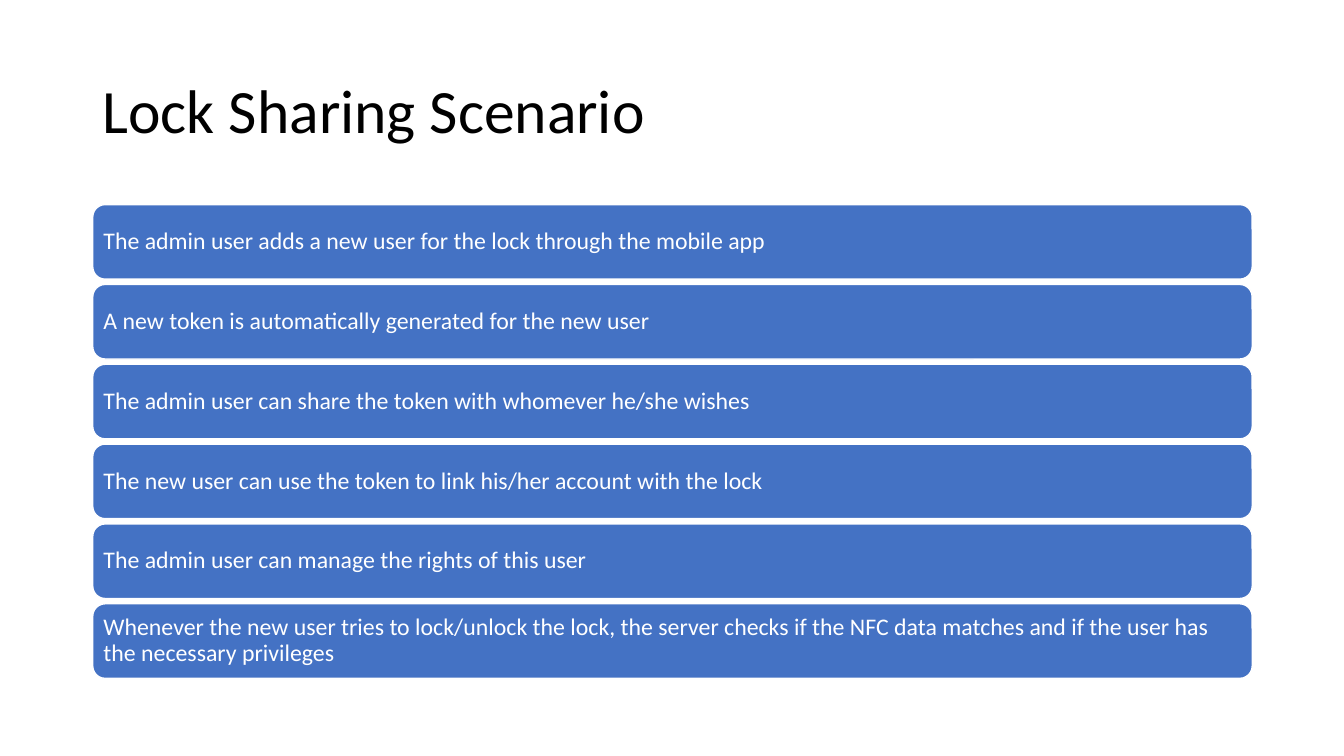
import pptx
import pptx.util
import pptx.dml.color
import pptx.enum.shapes
import pptx.enum.text
from dataclasses import dataclass

Inches = pptx.util.Inches
Pt = pptx.util.Pt
Color = pptx.dml.color.RGBColor


@dataclass(frozen=True)
class Theme:
    font: str = "Calibri"
    ink: Color = Color(0x00, 0x00, 0x00)
    paper: Color = Color(0xFF, 0xFF, 0xFF)
    blue: Color = Color(0x44, 0x72, 0xC4)
    title: int = 44
    body: int = 17


STEPS = [
    "The admin user adds a new user for the lock through the mobile app",
    "A new token is automatically generated for the new user",
    "The admin user can share the token with whomever he/she wishes",
    "The new user can use the token to link his/her account with the lock",
    "The admin user can manage the rights of this user",
    "Whenever the new user tries to lock/unlock the lock, the server checks "
    "if the NFC data matches and if the user has the necessary privileges",
]
LEFT, WIDTH = 0.92, 11.5
FIRST, LAST, HEIGHT = 2.03, 5.99, 0.74


class Board:
    """Draws elements on one slide in the given theme."""

    def __init__(self, slide, theme):
        self.slide = slide
        self.theme = theme

    def label(self, frame, text, size, color):
        frame.word_wrap = True
        frame.vertical_anchor = pptx.enum.text.MSO_ANCHOR.MIDDLE
        line = frame.paragraphs[0]
        line.text = text
        line.alignment = pptx.enum.text.PP_ALIGN.LEFT
        line.line_spacing = 0.9
        line.font.name = self.theme.font
        line.font.size = Pt(size)
        line.font.color.rgb = color

    def title(self, text):
        box = self.slide.shapes.add_textbox(
            Inches(LEFT), Inches(0.4), Inches(WIDTH), Inches(1.45))
        self.label(box.text_frame, text, self.theme.title, self.theme.ink)

    def bar(self, text, top):
        shape = self.slide.shapes.add_shape(
            pptx.enum.shapes.MSO_SHAPE.ROUNDED_RECTANGLE,
            Inches(LEFT), Inches(top), Inches(WIDTH), Inches(HEIGHT))
        shape.shadow.inherit = False
        shape.fill.solid()
        shape.fill.fore_color.rgb = self.theme.blue
        shape.line.color.rgb = self.theme.paper
        shape.line.width = Pt(1)
        frame = shape.text_frame
        frame.margin_left = frame.margin_right = Inches(0.07)
        frame.margin_top = frame.margin_bottom = Inches(0.07)
        self.label(frame, text, self.theme.body, self.theme.paper)


def main():
    deck = pptx.Presentation()
    deck.slide_width = Inches(13.33)
    deck.slide_height = Inches(7.5)
    board = Board(deck.slides.add_slide(deck.slide_layouts[6]), Theme())
    board.title("Lock Sharing Scenario")
    pitch = (LAST - FIRST) / (len(STEPS) - 1)
    for row, step in enumerate(STEPS):
        board.bar(step, FIRST + row * pitch)
    deck.save("out.pptx")


if __name__ == "__main__":
    main()
